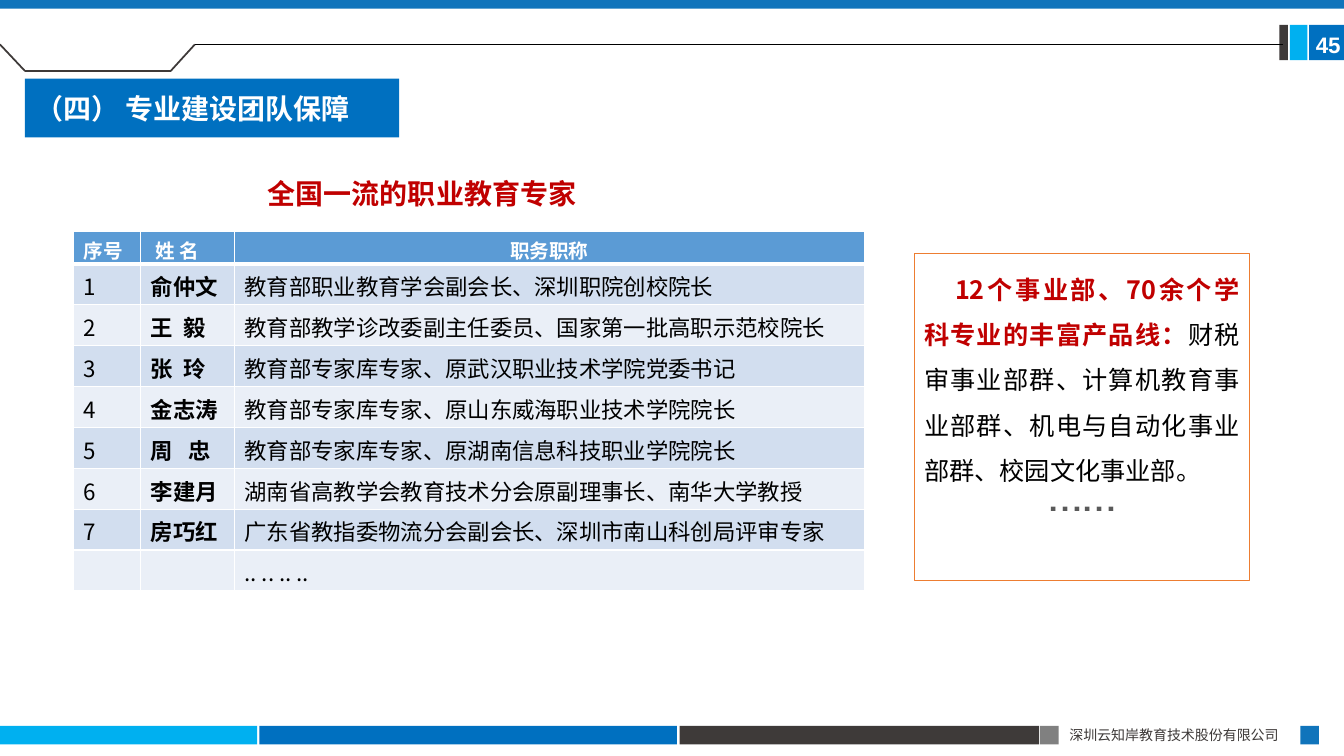
from lxml.etree import SubElement
from pptx import Presentation
from pptx.dml.color import RGBColor
from pptx.enum.shapes import MSO_CONNECTOR, MSO_SHAPE
from pptx.enum.text import MSO_ANCHOR, MSO_AUTO_SIZE, PP_ALIGN
from pptx.oxml.ns import qn
from pptx.util import Cm, Pt

WHITE = RGBColor(0xFF, 0xFF, 0xFF)
BLACK = RGBColor(0x00, 0x00, 0x00)
BLUE = RGBColor(0x00, 0x70, 0xC0)
DEEP_BLUE = RGBColor(0x10, 0x74, 0xBB)
SKY = RGBColor(0x00, 0xB0, 0xF0)
CHARCOAL = RGBColor(0x3E, 0x3A, 0x39)
GREY = RGBColor(0x80, 0x80, 0x80)
DOT_GREY = RGBColor(0x59, 0x59, 0x59)
RED = RGBColor(0xC0, 0x00, 0x00)
ORANGE = RGBColor(0xED, 0x7D, 0x31)
HEADER_BLUE = RGBColor(0x5B, 0x9B, 0xD5)
BAND_DARK = RGBColor(0xD2, 0xDE, 0xEF)
BAND_LIGHT = RGBColor(0xEA, 0xEF, 0xF7)
CJK = "Noto Sans CJK SC"


def add_run(paragraph, text, color, east_asian=CJK, **font_format):
    """Append a run; font_format holds Font attributes such as size and bold."""
    run = paragraph.add_run()
    run.text = text
    for attribute, value in ({"name": CJK, "bold": False} | font_format).items():
        setattr(run.font, attribute, value)
    run.font.color.rgb = color
    SubElement(run.font._element, qn("a:ea"), typeface=east_asian)


prs = Presentation()
prs.slide_width, prs.slide_height = Cm(33.87), Cm(19.05)
slide = prs.slides.add_slide(prs.slide_layouts[5])
shapes = slide.shapes

# Coloured bars of the frame: left, top, width, height, fill
bars = [
    (0, 18.29, 6.48, 0.47, SKY),
    (6.54, 18.29, 10.52, 0.47, BLUE),
    (17.13, 18.29, 9.06, 0.47, CHARCOAL),
    (26.21, 18.29, 0.47, 0.47, GREY),
    (32.77, 18.29, 0.47, 0.47, DEEP_BLUE),
    (32.99, 0.63, 0.88, 0.89, BLUE),
    (32.51, 0.63, 0.44, 0.89, SKY),
    (32.24, 0.63, 0.22, 0.89, CHARCOAL),
    (0, 0, 33.87, 0.22, DEEP_BLUE),
]
for *place, color in bars:
    bar = shapes.add_shape(MSO_SHAPE.RECTANGLE, *map(Cm, place))
    bar.shadow.inherit = False
    bar.fill.solid()
    bar.fill.fore_color.rgb = color
    bar.line.fill.background()

# Line along the top with its dip on the left
top_line = [(0, 1.12), (0.63, 1.79), (4.3, 1.79), (4.91, 1.12), (32.33, 1.12)]
line_styles = [(CHARCOAL, 1.25)] * 3 + [(BLACK, 0.5)]
for start, end, (color, width) in zip(top_line, top_line[1:], line_styles):
    segment = shapes.add_connector(MSO_CONNECTOR.STRAIGHT, *map(Cm, start + end))
    segment.line.color.rgb = color
    segment.line.width = Pt(width)
    SubElement(segment._element.spPr, qn("a:effectLst"))

# Section title
title = shapes.title
title.left, title.top, title.width, title.height = map(Cm, (0.63, 1.98, 9.43, 1.48))
title.fill.solid()
title.fill.fore_color.rgb = BLUE
title.text_frame.auto_size = MSO_AUTO_SIZE.NONE
title.text_frame.vertical_anchor = MSO_ANCHOR.MIDDLE
heading = title.text_frame.paragraphs[0]
heading.alignment = PP_ALIGN.LEFT
add_run(heading, "（四） 专业建设团队保障", WHITE, name="Calibri", size=Pt(20), bold=True)

# Single-line labels without margins: place, text, colour, font
labels = [
    ((6.75, 4.45, 9.3, 0.9), "全国一流的职业教育专家", RED,
     {"size": Pt(20), "bold": True}),
    ((26.95, 18.32, 5.6, 0.45), "深圳云知岸教育技术股份有限公司", CHARCOAL,
     {"size": Pt(10)}),
    ((33.16, 0.79, 0.7, 0.65), "45", WHITE,
     {"name": "Arial", "size": Pt(16), "bold": True}),
]
no_margins = dict.fromkeys(
    ("margin_left", "margin_top", "margin_right", "margin_bottom"), 0)
for place, text, color, font_format in labels:
    label = shapes.add_textbox(*map(Cm, place)).text_frame
    for attribute, value in (no_margins | {"word_wrap": False}).items():
        setattr(label, attribute, value)
    add_run(label.paragraphs[0], text, color, **font_format)

# Experts table
experts = [
    ("序号", "姓 名", "职务职称"),
    ("1", "俞仲文", "教育部职业教育学会副会长、深圳职院创校院长"),
    ("2", "王  毅", "教育部教学诊改委副主任委员、国家第一批高职示范校院长"),
    ("3", "张  玲", "教育部专家库专家、原武汉职业技术学院党委书记"),
    ("4", "金志涛", "教育部专家库专家、原山东威海职业技术学院院长"),
    ("5", "周   忠", "教育部专家库专家、原湖南信息科技职业学院院长"),
    ("6", "李建月", "湖南省高教学会教育技术分会原副理事长、南华大学教授"),
    ("7", "房巧红", "广东省教指委物流分会副会长、深圳市南山科创局评审专家"),
    ("", "", ".. .. .. .."),
]
table = shapes.add_table(len(experts), 3, Cm(1.86), Cm(5.82), Cm(19.92), Cm(9.09)).table
for column, width in zip(table.columns, (1.69, 2.36, 15.87)):
    column.width = Cm(width)
for r, expert in enumerate(experts):
    is_header = r == 0
    table.rows[r].height = Cm(0.83 if is_header else 1.03)
    for c, text in enumerate(expert):
        cell = table.cell(r, c)
        cell.margin_top = Cm(0.12 if is_header else 0.15)
        cell.margin_bottom = 0
        if is_header:
            rule = SubElement(cell._tc.get_or_add_tcPr(), qn("a:lnB"), w=str(Pt(3)))
            SubElement(SubElement(rule, qn("a:solidFill")), qn("a:srgbClr"), val=str(WHITE))
        cell.fill.solid()
        cell.fill.fore_color.rgb = (
            HEADER_BLUE if is_header else BAND_DARK if r % 2 else BAND_LIGHT)
        if text:
            add_run(cell.text_frame.paragraphs[0], text, WHITE if is_header else BLACK,
                    size=Pt(14 if is_header else 16), bold=is_header or c == 1)
table.cell(0, 1).margin_left = Cm(0.37)
table.cell(0, 2).text_frame.paragraphs[0].alignment = PP_ALIGN.CENTER

# Product lines box
product_box = shapes.add_shape(
    MSO_SHAPE.RECTANGLE, Cm(23.04), Cm(6.4), Cm(8.46), Cm(8.23))
product_box.shadow.inherit = False
product_box.fill.background()
product_box.line.color.rgb = ORANGE
product_box.line.width = Pt(0.75)
products = product_box.text_frame
products.word_wrap = True
products.vertical_anchor = MSO_ANCHOR.TOP
summary = products.paragraphs[0]
summary.alignment = PP_ALIGN.JUSTIFY
summary.line_spacing = Pt(32.4)
summary._p.get_or_add_pPr().set("indent", str(Cm(0.78)))
add_run(summary, "12个事业部、70余个学科专业的丰富产品线：", RED, size=Pt(18), bold=True)
add_run(summary, "财税审事业部群、计算机教育事业部群、机电与自动化事业部群、校园文化事业部。",
        BLACK, size=Pt(18))
more = products.add_paragraph()
more.alignment = PP_ALIGN.CENTER
more.line_spacing = Pt(25.6)
add_run(more, "……", DOT_GREY, east_asian="Cabin", name="Cabin", size=Pt(36))

prs.save("out.pptx")
